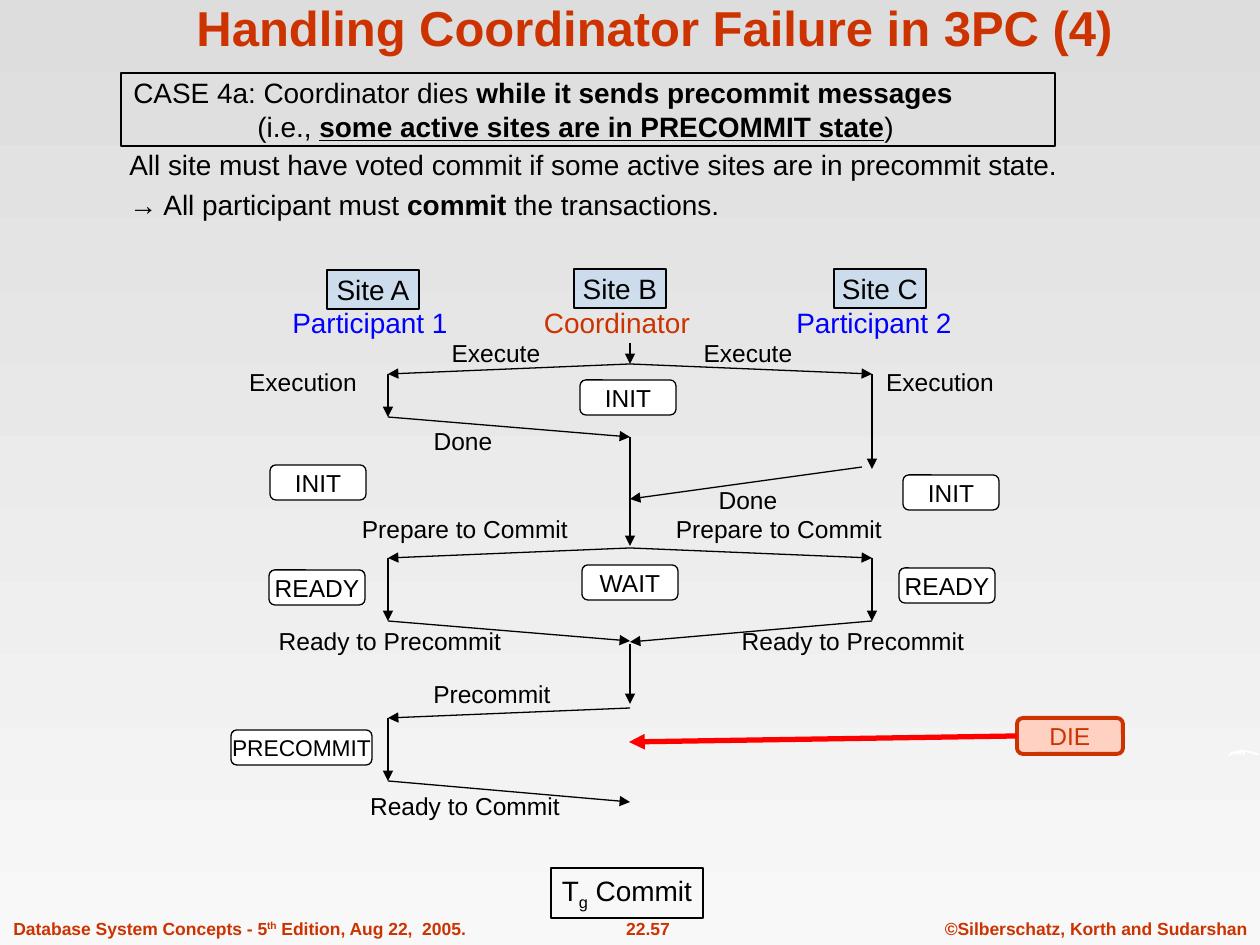
"""Build the slide on coordinator failure in three-phase commit, case 4a."""
from lxml import etree
from pptx import Presentation
from pptx import util as u
from pptx.dml.color import RGBColor
from pptx.enum import shapes, text
from pptx.oxml.ns import qn

SCALE = u.Inches(1) / 126
COLORS = {
    "black": "000000", "white": "FFFFFF", "accent": "CC3300", "blue": "0000FF",
    "site": "99CCFF", "die": "FFD1C2", "red": "FF0000",
    "top": "DDDDDD", "bottom": "F8F8F8",
}
RECT = shapes.MSO_SHAPE.RECTANGLE
ROUNDED = shapes.MSO_SHAPE.ROUNDED_RECTANGLE
CENTER, LEFT = text.PP_ALIGN.CENTER, text.PP_ALIGN.LEFT


def write(paragraph, runs, size, color="black", align=CENTER):
    paragraph.alignment = align
    for words, style in runs:
        run = paragraph.add_run()
        run.text = words
        run.font.name = "Arial"
        run.font.size = u.Pt(size)
        run.font.color.rgb = RGBColor.from_string(COLORS[color])
        run.font.bold = "b" in style
        run.font.underline = "u" in style
        if "^" in style or "_" in style:
            baseline = "30000" if "^" in style else "-25000"
            run.font._element.set("baseline", baseline)


def add_box(box, kind=None, fill=None, line="black", weight=0.75, wrap=False):
    place = [u.Emu(round(n * SCALE)) for n in box]
    if kind is None:
        shape = slide.shapes.add_textbox(*place)
    else:
        shape = slide.shapes.add_shape(kind, *place)
        shape.shadow.inherit = False
        shape.line.color.rgb = RGBColor.from_string(COLORS[line])
        shape.line.width = u.Pt(weight)
        if fill:
            shape.fill.solid()
            shape.fill.fore_color.rgb = RGBColor.from_string(COLORS[fill])
        else:
            shape.fill.background()
    shape.text_frame.word_wrap = wrap
    shape.text_frame.vertical_anchor = text.MSO_ANCHOR.MIDDLE
    return shape


presentation = Presentation()
presentation.slide_width = u.Emu(round(1260 * SCALE))
presentation.slide_height = u.Emu(round(945 * SCALE))
slide = presentation.slides.add_slide(presentation.slide_layouts[6])

background = slide.background.fill
background.gradient()
background.gradient_angle = 270
for stop, name in zip(background.gradient_stops, ("top", "bottom")):
    stop.color.rgb = RGBColor.from_string(COLORS[name])

footers = [
    ((932, 911, 328, 34), [("©Silberschatz, Korth and Sudarshan", "b")], CENTER),
    ((581, 911, 134, 34), [("22.57", "b")], CENTER),
    ((1, 911, 478, 34), [("Database System Concepts - 5", "b"), ("th", "b^"),
                         (" Edition, Aug 22,  2005.", "b")], LEFT),
]
for box, runs, align in footers:
    shape = add_box(box)
    write(shape.text_frame.paragraphs[0], runs, 10, "accent", align)

builder = slide.shapes.build_freeform(1228, 757, scale=SCALE)
builder.add_line_segments([
    (1230, 753), (1235, 751), (1242, 750), (1250, 751), (1257, 753), (1260, 754),
    (1257, 755), (1250, 753), (1245, 752), (1245, 756), (1241, 752), (1241, 756),
    (1237, 752), (1238, 756), (1235, 753), (1231, 755)], close=True)
swoosh = builder.convert_to_shape()
swoosh.shadow.inherit = False
swoosh.fill.solid()
swoosh.fill.fore_color.rgb = RGBColor.from_string(COLORS["white"])
swoosh.line.fill.background()

title = add_box((98, 11, 1113, 52), wrap=True)
title.text_frame.vertical_anchor = text.MSO_ANCHOR.BOTTOM
write(title.text_frame.paragraphs[0],
      [("Handling Coordinator Failure in 3PC (4)", "b")], 28, "accent")

labels = [
    ("Participant 1", 370, 322, 16, "blue"),
    ("Coordinator", 617, 322, 16, "accent"),
    ("Participant 2", 874, 322, 16, "blue"),
    ("Execute", 496, 353, 14, "black"),
    ("Execute", 748, 353, 14, "black"),
    ("Execution", 303, 382, 14, "black"),
    ("Execution", 940, 382, 14, "black"),
    ("Done", 463, 441, 14, "black"),
    ("Done", 748, 500, 14, "black"),
    ("Prepare to Commit", 465, 529, 14, "black"),
    ("Prepare to Commit", 779, 529, 14, "black"),
    ("Ready to Precommit", 390, 641, 14, "black"),
    ("Ready to Precommit", 853, 641, 14, "black"),
    ("Precommit", 492, 694, 14, "black"),
    ("Ready to Commit", 465, 806, 14, "black"),
]
for words, x, y, size, color in labels:
    shape = add_box((x - 125, y - 22, 250, 44))
    write(shape.text_frame.paragraphs[0], [(words, "")], size, color)

for words, x, y in [("Site A", 327, 270), ("Site B", 574, 269), ("Site C", 834, 269)]:
    shape = add_box((x, y, 92, 39), RECT, "site")
    color = shape.fill._xPr.find(".//" + qn("a:srgbClr"))
    etree.SubElement(color, qn("a:alpha"), val="30000")
    write(shape.text_frame.paragraphs[0], [(words, "")], 16)

states = [
    ("INIT", 580, 380), ("INIT", 270, 465), ("INIT", 903, 475),
    ("WAIT", 582, 565), ("READY", 269, 570), ("READY", 899, 568),
]
for words, x, y in states:
    shape = add_box((x, y, 96, 35), ROUNDED, "white")
    write(shape.text_frame.paragraphs[0], [(words, "")], 14)
precommit = add_box((231, 730, 141, 35), ROUNDED, "white")
write(precommit.text_frame.paragraphs[0], [("PRECOMMIT", "")], 13)
die = add_box((1017, 718, 106, 36), ROUNDED, "die", "accent", 2.25)
write(die.text_frame.paragraphs[0], [("DIE", "")], 14, "accent")
outcome = add_box((551, 868, 152, 50), RECT)
write(outcome.text_frame.paragraphs[0], [("T", ""), ("g", "_"), (" Commit", "")], 16)

A, B, C = 388, 630, 872
messages = [
    (B, 343, B, 364), (B, 364, A, 374), (B, 364, C, 374),
    (A, 374, A, 417), (A, 417, B, 437), (C, 374, C, 469),
    (B, 437, B, 546), (862, 467, B, 499),
    (B, 548, A, 558), (B, 548, C, 558), (A, 558, A, 621), (C, 558, C, 621),
    (A, 621, B, 641), (C, 621, B, 642), (B, 644, B, 704),
    (B, 708, A, 718), (A, 718, A, 781), (A, 781, B, 802),
]
arrows = [(ends, "black", 0.75, None) for ends in messages]
arrows.append(((1017, 736, 629, 742), "red", 3, die))
for ends, color, weight, source in arrows:
    arrow = slide.shapes.add_connector(
        shapes.MSO_CONNECTOR.STRAIGHT, *[u.Emu(round(n * SCALE)) for n in ends])
    arrow.line.color.rgb = RGBColor.from_string(COLORS[color])
    arrow.line.width = u.Pt(weight)
    etree.SubElement(arrow.line._get_or_add_ln(), qn("a:tailEnd"), type="triangle")
    etree.SubElement(arrow._element.spPr, qn("a:effectLst"))
    if source:
        arrow.begin_connect(source, 1)

body = add_box((117, 147, 1072, 87), wrap=True)
body.text_frame.vertical_anchor = text.MSO_ANCHOR.TOP
reason = body.text_frame.paragraphs[0]
write(reason, [("All site must have voted commit if some active sites "
                "are in precommit state.", "")], 16, align=LEFT)
decision = body.text_frame.add_paragraph()
write(decision, [("→ All participant must ", ""), ("commit", "b"),
                 (" the transactions.", "")], 16, align=LEFT)
decision.space_before = u.Pt(7)
for paragraph in (reason, decision):
    paragraph.line_spacing = u.Pt(16)

case = add_box((121, 73, 934, 73), RECT, wrap=True)
write(case.text_frame.paragraphs[0],
      [("CASE 4a: Coordinator dies", ""), (" while it sends precommit messages", "b")],
      16, align=LEFT)
detail = case.text_frame.add_paragraph()
write(detail, [("(i.e., ", ""), ("some active sites are in PRECOMMIT state", "bu"),
               (")", "")], 16, align=LEFT)
detail._p.get_or_add_pPr().set("marL", str(round(124 * SCALE)))

presentation.save("out.pptx")
